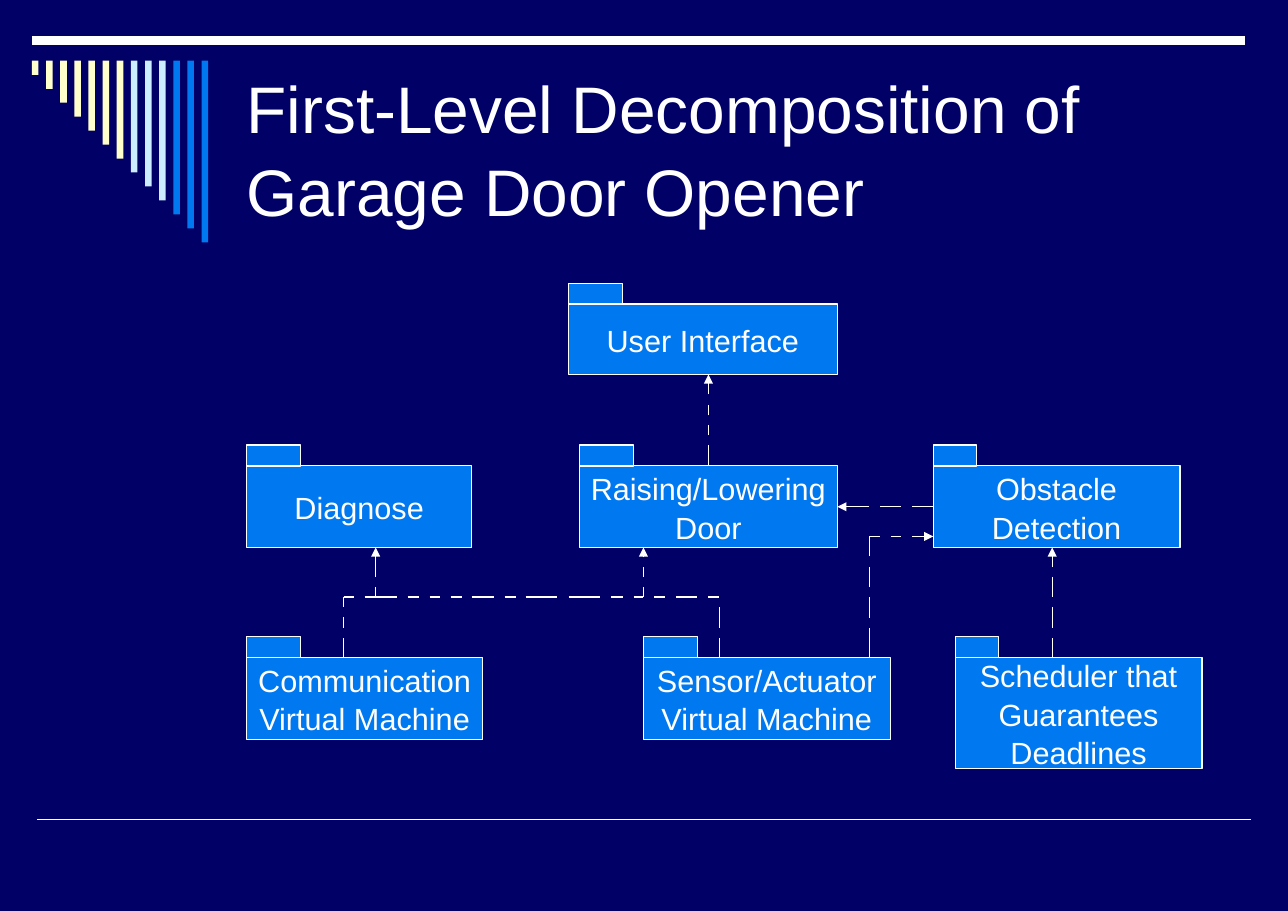
"""Build the package diagram of a garage door opener's first-level decomposition."""
from lxml.etree import SubElement
from pptx import Presentation
from pptx.dml.color import RGBColor
from pptx.enum.shapes import MSO_CONNECTOR, MSO_SHAPE
from pptx.enum.text import MSO_ANCHOR, PP_ALIGN
from pptx.oxml.ns import qn
from pptx.util import Inches, Pt

NAVY = RGBColor(0x00, 0x00, 0x66)
BLUE = RGBColor(0x00, 0x78, 0xF0)
CREAM = RGBColor(0xFF, 0xFF, 0xCC)
PALE_BLUE = RGBColor(0xCC, 0xEC, 0xFF)
WHITE = RGBColor(0xFF, 0xFF, 0xFF)
FONT = "Arial"

TITLE = "First-Level Decomposition of Garage Door Opener"
BAR_COLORS = [CREAM] * 7 + [PALE_BLUE] * 3 + [BLUE] * 3
BAR_LEFT, BAR_TOP, BAR_WIDTH = 0.29, 0.55, 0.06
BAR_STEP, BAR_SHORTEST, BAR_LONGEST = 0.13, 0.13, 1.65
BAR_SPAN = 1.54
RULES = [((0.29, 0.37), (11.3, 0.37), 6), ((0.34, 7.44), (11.35, 7.44), 1)]

TAB_HEIGHT = 0.19
PACKAGES = [
    (["User Interface"], 5.16, 2.76, 2.44, 0.64, 0.49),
    (["Diagnose"], 2.24, 4.23, 2.04, 0.74, 0.49),
    (["Raising/Lowering", "Door"], 5.26, 4.23, 2.34, 0.74, 0.49),
    (["Obstacle", "Detection"], 8.47, 4.23, 2.24, 0.74, 0.39),
    (["Communication", "Virtual Machine"], 2.24, 5.97, 2.14, 0.74, 0.49),
    (["Sensor/Actuator", "Virtual Machine"], 5.84, 5.97, 2.24, 0.74, 0.49),
    (["Scheduler that", "Guarantees", "Deadlines"], 8.67, 5.97, 2.24, 1.01, 0.39),
]

DASHED_PATHS = [
    ("vertical", 6.43, [(4.23, 4.04), (3.95, 3.86), (3.77, 3.68), (3.58, 3.4)], True),
    ("horizontal", 4.6, [(8.47, 8.28), (8.18, 7.99), (7.89, 7.6)], True),
    ("vertical", 9.55, [(5.97, 5.79), (5.7, 5.51), (5.42, 5.24), (5.15, 4.97)], True),
    ("vertical", 3.12, [(5.97, 5.79), (5.7, 5.6), (5.51, 5.42)], False),
    ("horizontal", 5.42, [
        (3.12, 3.21), (3.31, 3.6), (3.7, 3.8), (3.9, 3.99), (4.09, 4.19),
        (4.28, 4.48), (4.58, 4.68), (4.77, 5.06), (5.16, 5.45), (5.55, 5.65),
        (5.75, 5.84), (5.94, 6.04), (6.14, 6.33), (6.43, 6.53)], False),
    ("vertical", 3.41, [(5.42, 5.33), (5.24, 4.97)], True),
    ("vertical", 5.84, [(5.42, 5.33), (5.24, 5.15), (5.06, 4.97)], True),
    ("vertical", 6.53, [(5.97, 5.79), (5.7, 5.51)], False),
    ("vertical", 7.89, [(5.97, 5.7), (5.61, 5.42), (5.33, 5.15), (5.05, 4.87)], False),
    ("horizontal", 4.87, [(7.89, 7.99), (8.09, 8.18), (8.28, 8.47)], True),
]


def add_box(slide, left, top, width, height, color, outlined=True):
    box = slide.shapes.add_shape(
        MSO_SHAPE.RECTANGLE, Inches(left), Inches(top), Inches(width), Inches(height))
    box.shadow.inherit = False
    box.fill.solid()
    box.fill.fore_color.rgb = color
    if outlined:
        box.line.color.rgb = WHITE
        box.line.width = Pt(0.75)
    else:
        box.line.fill.background()
    return box


def write_lines(frame, lines, size, align):
    frame.vertical_anchor = MSO_ANCHOR.MIDDLE
    for index, line in enumerate(lines):
        paragraph = frame.add_paragraph() if index else frame.paragraphs[0]
        paragraph.alignment = align
        paragraph.line_spacing = 1.05
        run = paragraph.add_run()
        run.text = line
        run.font.size = Pt(size)
        run.font.name = FONT
        run.font.color.rgb = WHITE


def add_line(slide, start, end, width, arrow=False):
    line = slide.shapes.add_connector(
        MSO_CONNECTOR.STRAIGHT, *(Inches(value) for value in start + end))
    line.line.color.rgb = WHITE
    line.line.width = Pt(width)
    if arrow:
        SubElement(line.line._get_or_add_ln(), qn("a:tailEnd"), type="triangle")
    SubElement(line._element.spPr, qn("a:effectLst"))
    return line


def find_side(bodies, point):
    for body, left, top, width, height in bodies:
        middles = [(left + width / 2, top), (left, top + height / 2),
                   (left + width / 2, top + height), (left + width, top + height / 2)]
        for side, (x, y) in enumerate(middles):
            if abs(x - point[0]) < 0.02 and abs(y - point[1]) < 0.02:
                return body, side
    return None


def add_package(slide, lines, left, top, width, height, tab_width):
    body = add_box(slide, left, top, width, height, BLUE)
    body.text_frame.word_wrap = False
    write_lines(body.text_frame, lines, 20, PP_ALIGN.CENTER)
    add_box(slide, left, top - TAB_HEIGHT, tab_width, TAB_HEIGHT, BLUE)
    return body, left, top, width, height


def add_dashed_path(slide, bodies, direction, position, dashes, has_arrow):
    for index, ends in enumerate(dashes):
        start, end = [(position, value) if direction == "vertical" else (value, position)
                      for value in ends]
        is_last = index == len(dashes) - 1
        dash = add_line(slide, start, end, 0.75, has_arrow and is_last)
        start_side, end_side = find_side(bodies, start), find_side(bodies, end)
        if start_side:
            dash.begin_connect(*start_side)
        if end_side:
            dash.end_connect(*end_side)


def main():
    presentation = Presentation()
    presentation.slide_width, presentation.slide_height = Inches(11.69), Inches(8.27)
    slide = presentation.slides.add_slide(presentation.slide_layouts[6])
    slide.background.fill.solid()
    slide.background.fill.fore_color.rgb = NAVY

    for start, end, width in RULES:
        add_line(slide, start, end, width)
    for index, color in enumerate(BAR_COLORS):
        share = index / (len(BAR_COLORS) - 1)
        height = BAR_SHORTEST + share * (BAR_LONGEST - BAR_SHORTEST)
        add_box(slide, BAR_LEFT + share * BAR_SPAN, BAR_TOP, BAR_WIDTH, height, color, False)

    title = slide.shapes.add_textbox(Inches(2.14), Inches(0.55), Inches(8.96), Inches(1.56))
    title.text_frame.word_wrap = True
    write_lines(title.text_frame, [TITLE], 43, PP_ALIGN.LEFT)

    bodies = [add_package(slide, *package) for package in PACKAGES]
    for dashed_path in DASHED_PATHS:
        add_dashed_path(slide, bodies, *dashed_path)
    presentation.save("out.pptx")


if __name__ == "__main__":
    main()
